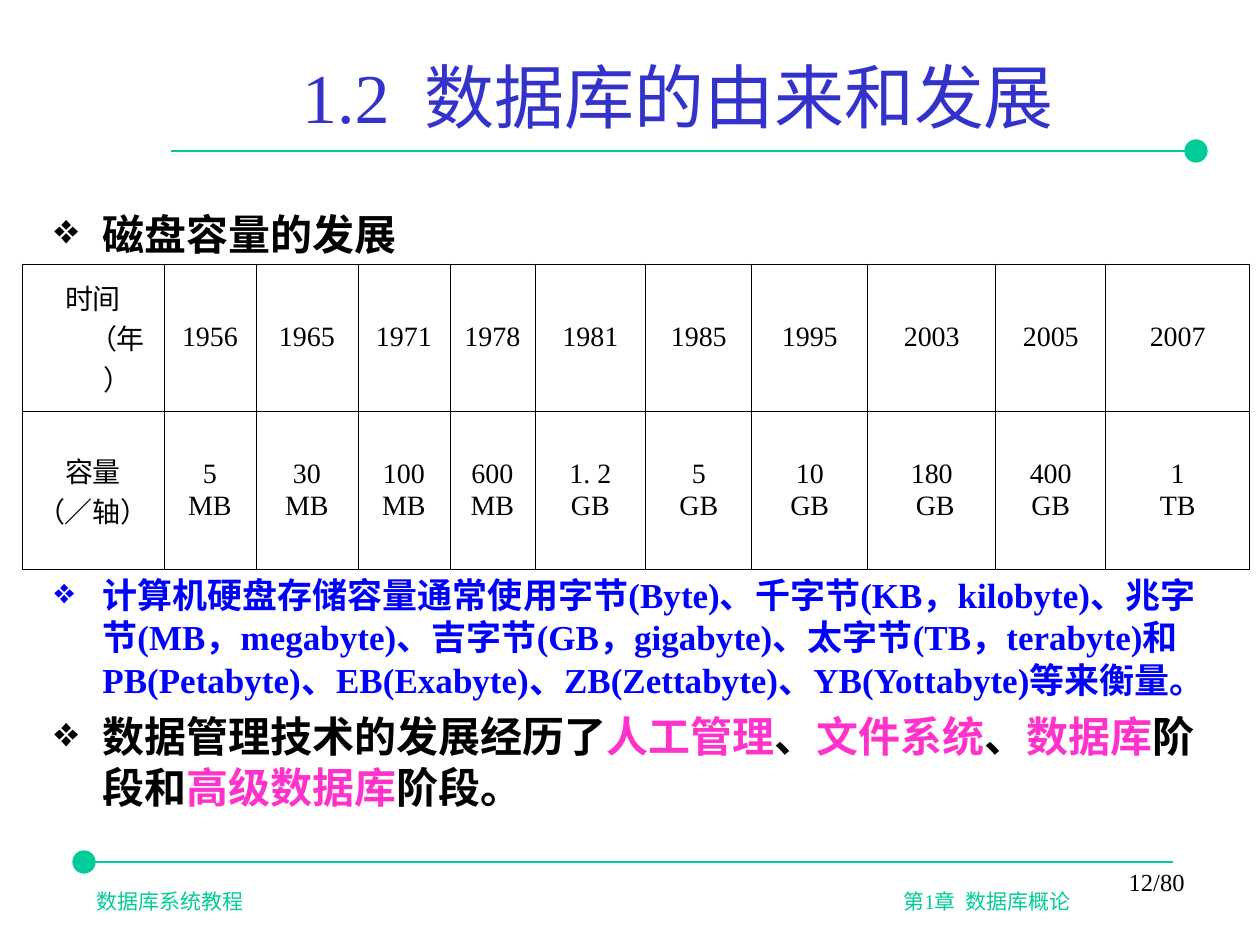
from lxml.etree import SubElement
from pptx import Presentation
from pptx.dml.color import RGBColor
from pptx.enum.shapes import MSO_CONNECTOR, MSO_SHAPE
from pptx.enum.text import MSO_ANCHOR, PP_ALIGN
from pptx.oxml import parse_xml
from pptx.oxml.ns import nsdecls, qn
from pptx.util import Pt

EMU_PER_PX = 914400 / 126
FONT = "Times New Roman"
BLACK = RGBColor(0x00, 0x00, 0x00)
GREEN = RGBColor(0x00, 0xCC, 0x99)
INDIGO = RGBColor(0x33, 0x33, 0xCC)
BLUE = RGBColor(0x00, 0x00, 0xFF)
PINK = RGBColor(0xFF, 0x33, 0xCC)

HANG = 48
COLUMN_WIDTHS = [142, 92, 102, 92, 85, 111, 106, 116, 128, 110, 144]
ROW_HEIGHTS = [147, 158]
CAPACITIES = [
    ("时间（年）", ["容量", "（／轴）"]),
    ("1956", ["5", "MB"]),
    ("1965", ["30", "MB"]),
    ("1971", ["100", "MB"]),
    ("1978", ["600", "MB"]),
    ("1981", ["1. 2", "GB"]),
    ("1985", ["5", "GB"]),
    ("1995", ["10", "GB"]),
    ("2003", ["180", " GB"]),
    ("2005", ["400", "GB"]),
    ("2007", ["1", "TB"]),
]
# size, line pitch and space before in points, bullet colour, runs
BODY = [
    (24, 29, 0, BLACK, [("磁盘容量的发展", BLACK)]),
    (20, 24, 180, BLUE, [
        ("计算机硬盘存储容量通常使用字节(Byte)、千字节(KB，kilobyte)、"
         "兆字节(MB，megabyte)、吉字节(GB，gigabyte)、太字节(TB，terabyte)"
         "和PB(Petabyte)、EB(Exabyte)、ZB(Zettabyte)、YB(Yottabyte)等来衡量。", BLUE),
    ]),
    (24, 29, 6, BLACK, [
        ("数据管理技术的发展经历了", BLACK), ("人工管理", PINK), ("、", BLACK),
        ("文件系统", PINK), ("、", BLACK), ("数据库", PINK), ("阶段和", BLACK),
        ("高级数据库", PINK), ("阶段。", BLACK),
    ]),
]


def px(length):
    return round(length * EMU_PER_PX)


def add_run(para, text, size, color, bold=False):
    span = para.add_run()
    span.text = text
    span.font.name = FONT
    span.font.size = Pt(size)
    span.font.bold = bold
    span.font.color.rgb = color


def add_text_box(slide, box, anchor=MSO_ANCHOR.TOP):
    frame = slide.shapes.add_textbox(*map(px, box)).text_frame
    frame.word_wrap = True
    frame.vertical_anchor = anchor
    return frame


def set_hanging_indent(para):
    properties = para._p.get_or_add_pPr()
    properties.set("marL", str(px(HANG)))
    properties.set("indent", str(-px(HANG)))
    return properties


def add_rule(slide, box, dot_on_right):
    """Draw a horizontal rule with a dot at one end, centred in the box."""
    left, top, width, height = box
    middle = top + height / 2
    dot_left = left + width - height if dot_on_right else left
    dot = slide.shapes.add_shape(MSO_SHAPE.FLOWCHART_CONNECTOR, px(dot_left), px(top),
                                 px(height), px(height))
    dot.shadow.inherit = False
    dot.fill.solid()
    dot.fill.fore_color.rgb = GREEN
    dot.line.color.rgb = GREEN
    dot.line.width = Pt(0.75)

    start = left if dot_on_right else left + height / 2
    end = left + width - height / 2 if dot_on_right else left + width
    rule = slide.shapes.add_connector(MSO_CONNECTOR.STRAIGHT, px(start), px(middle),
                                      px(end), px(middle))
    rule.line.color.rgb = GREEN
    rule.line.width = Pt(1.25)
    SubElement(rule._element.spPr, qn("a:effectLst"))


def add_title(slide, box):
    para = add_text_box(slide, box, MSO_ANCHOR.MIDDLE).paragraphs[0]
    para.alignment = PP_ALIGN.CENTER
    add_run(para, "1.2  数据库的由来和发展", 40, INDIGO)


def add_body(slide, box):
    """Write the bullets; the space before the second one holds the table."""
    frame = add_text_box(slide, box)
    for index, (size, pitch, before, bullet_color, runs) in enumerate(BODY):
        para = frame.paragraphs[0] if index == 0 else frame.add_paragraph()
        properties = set_hanging_indent(para)
        bullet = SubElement(properties, qn("a:buClr"))
        SubElement(bullet, qn("a:srgbClr"), val=str(bullet_color))
        SubElement(properties, qn("a:buChar"), char="❖")
        para.line_spacing = Pt(pitch)
        if before:
            para.space_before = Pt(before)
        for text, color in runs:
            add_run(para, text, size, color, bold=True)


def style_cell(cell):
    cell.vertical_anchor = MSO_ANCHOR.MIDDLE
    cell.fill.background()
    properties = cell._tc.get_or_add_tcPr()
    for position, side in enumerate("LRTB"):
        properties.insert(position, parse_xml(
            f'<a:ln{side} {nsdecls("a")} w="{Pt(0.45)}"><a:solidFill>'
            f'<a:srgbClr val="{BLACK}"/></a:solidFill></a:ln{side}>'))


def add_capacity_table(slide, left, top):
    shape = slide.shapes.add_table(len(ROW_HEIGHTS), len(COLUMN_WIDTHS), px(left), px(top),
                                   px(sum(COLUMN_WIDTHS)), px(sum(ROW_HEIGHTS)))
    table = shape.table
    table.first_row = False
    table.horz_banding = False
    for row, height in zip(table.rows, ROW_HEIGHTS):
        row.height = px(height)
    for column, width in zip(table.columns, COLUMN_WIDTHS):
        column.width = px(width)
    for column_index, (year, capacity) in enumerate(CAPACITIES):
        for row_index, lines in enumerate([[year], capacity]):
            cell = table.cell(row_index, column_index)
            style_cell(cell)
            frame = cell.text_frame
            for line_index, text in enumerate(lines):
                para = frame.paragraphs[0] if line_index == 0 else frame.add_paragraph()
                para.alignment = PP_ALIGN.CENTER
                set_hanging_indent(para)
                add_run(para, text, 16, BLACK)


def add_footer(slide, box, chapter_offset):
    para = add_text_box(slide, box).paragraphs[0]
    tabs = SubElement(para._p.get_or_add_pPr(), qn("a:tabLst"))
    SubElement(tabs, qn("a:tab"), pos=str(px(chapter_offset)), algn="l")
    add_run(para, "数据库系统教程\t", 12, GREEN)
    add_run(para, "第1章  数据库概论", 12, GREEN)


def add_page_number(slide, box):
    para = add_text_box(slide, box).paragraphs[0]
    para.alignment = PP_ALIGN.RIGHT
    add_run(para, "12/80", 14, BLACK)


def main():
    deck = Presentation()
    deck.slide_width = px(1260)
    deck.slide_height = px(945)
    page = deck.slides.add_slide(deck.slide_layouts[6])
    add_rule(page, (171, 140, 1036, 22), dot_on_right=True)
    add_rule(page, (73, 851, 1100, 22), dot_on_right=False)
    add_footer(page, (84, 882, 1081, 38), chapter_offset=807)
    add_title(page, (171, 32, 1014, 128))
    add_body(page, (42, 202, 1170, 659))
    add_capacity_table(page, 22, 264)
    add_page_number(page, (904, 861, 293, 63))
    deck.save("out.pptx")


if __name__ == "__main__":
    main()
